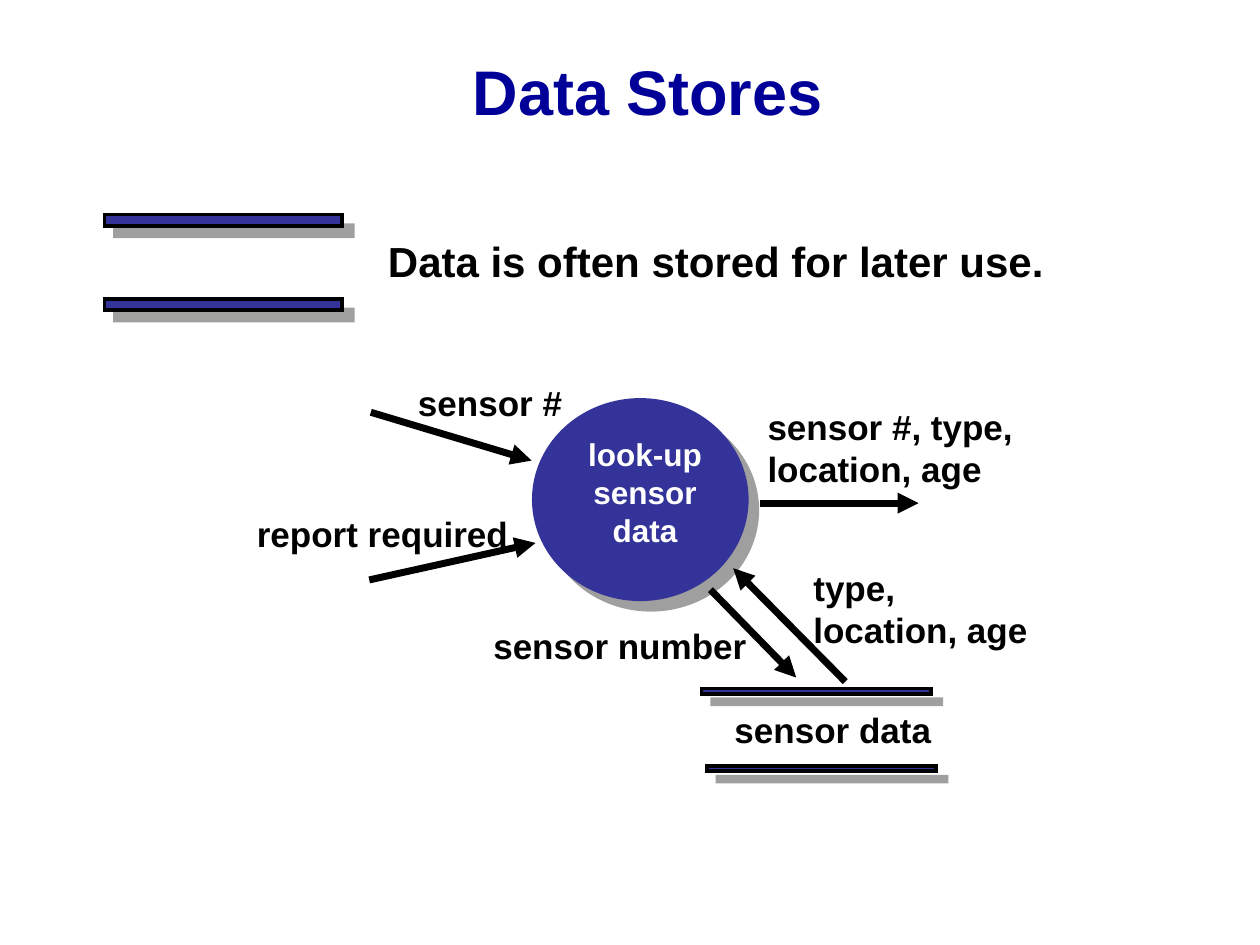
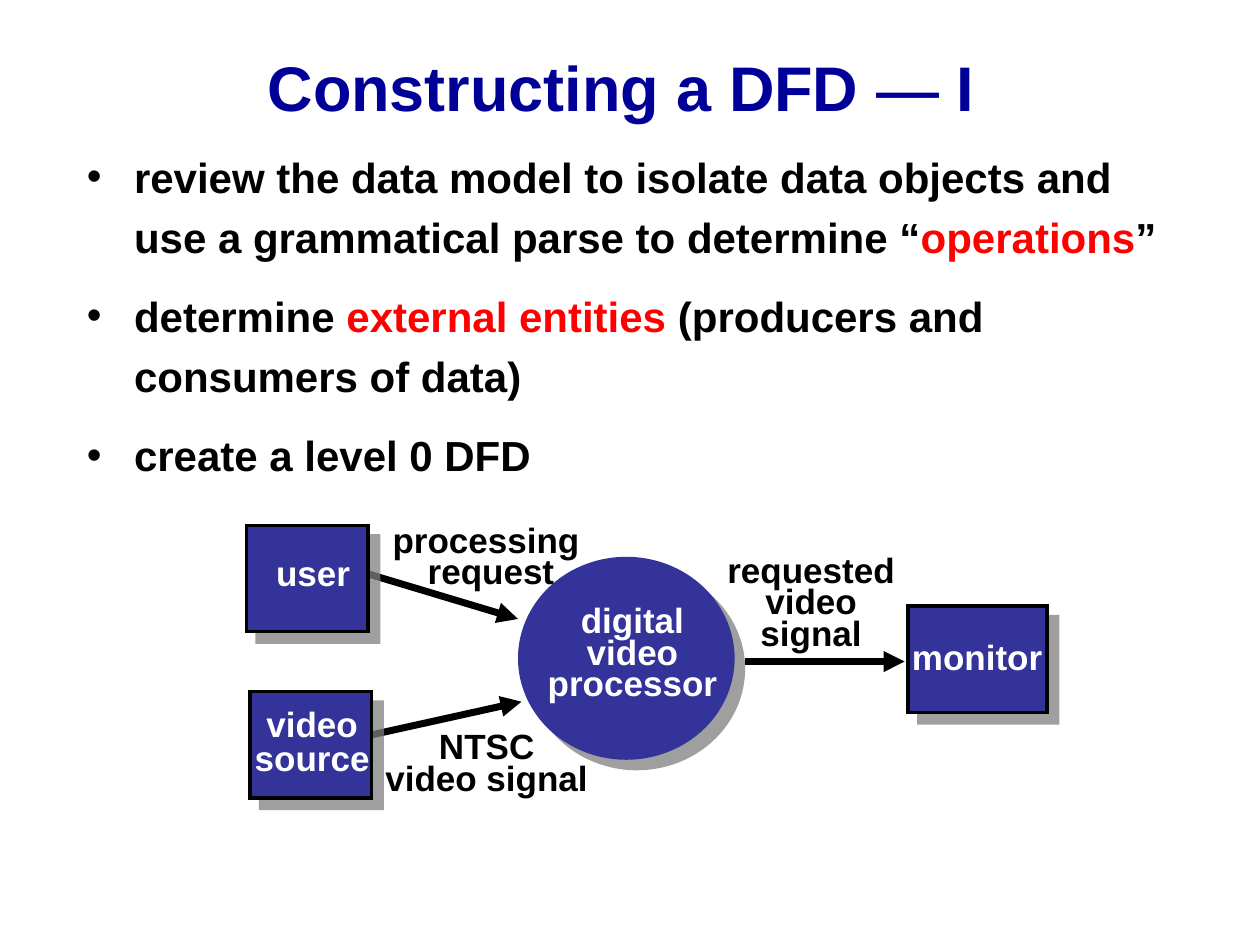
from dataclasses import dataclass

from lxml.etree import SubElement
from pptx import Presentation
from pptx.dml.color import RGBColor
from pptx.enum.shapes import MSO_CONNECTOR, MSO_SHAPE
from pptx.enum.text import MSO_ANCHOR, MSO_AUTO_SIZE, PP_ALIGN
from pptx.oxml.ns import qn
from pptx.util import Pt

LEFT, CENTER = PP_ALIGN.LEFT, PP_ALIGN.CENTER
RECTANGLE, OVAL = MSO_SHAPE.RECTANGLE, MSO_SHAPE.OVAL


@dataclass(frozen=True)
class Theme:
    title: str = "000099"
    node: str = "333399"
    ink: str = "000000"
    light: str = "FFFFFF"
    accent: str = "FF0000"
    shadow: str = "808080"
    font: str = "Arial"
    dash_font: str = "TeX Gyre Pagella"
    title_size: int = 36
    body_size: int = 24
    label_size: int = 20
    process_size: int = 18
    outline: int = 2
    arrow: int = 4
    shadow_distance: float = 8.5
    label_slack: int = 6


THEME = Theme()


def apply(target, formats):
    for name, value in formats.items():
        setattr(target, name, value)


def add_xml(parent, tag, **attributes):
    element = SubElement(parent, qn(tag))
    for name, value in attributes.items():
        element.set(name, str(value))
    return element


class Deck:
    def __init__(self, theme):
        self.theme = theme
        self.presentation = Presentation()
        apply(self.presentation, {"slide_width": Pt(720), "slide_height": Pt(540)})
        self.slide = None

    def add_runs(self, paragraph, runs, size, color):
        for text, changes in runs:
            run = paragraph.add_run()
            run.text = text
            formats = {"name": self.theme.font, "size": Pt(size), "bold": True}
            run_color = changes.get("color", color)
            formats.update({k: v for k, v in changes.items() if k != "color"})
            apply(run.font, formats)
            run.font.color.rgb = RGBColor.from_string(run_color)

    def start_slide(self, runs, left, top, width, height):
        self.slide = self.presentation.slides.add_slide(self.presentation.slide_layouts[5])
        title = self.slide.shapes.title
        apply(title, {"left": Pt(left), "top": Pt(top), "width": Pt(width), "height": Pt(height)})
        apply(title.text_frame, {"vertical_anchor": MSO_ANCHOR.MIDDLE, "word_wrap": True,
                                 "auto_size": MSO_AUTO_SIZE.NONE})
        paragraph = title.text_frame.paragraphs[0]
        paragraph.alignment = CENTER
        self.add_runs(paragraph, runs, self.theme.title_size, self.theme.title)

    def node(self, kind, left, top, width, height, outlined=True):
        shape = self.slide.shapes.add_shape(kind, Pt(left), Pt(top), Pt(width), Pt(height))
        shape.fill.solid()
        shape.fill.fore_color.rgb = RGBColor.from_string(self.theme.node)
        if outlined:
            shape.line.color.rgb = RGBColor.from_string(self.theme.ink)
            shape.line.width = Pt(self.theme.outline)
            add_xml(shape.line._get_or_add_ln(), "a:miter", lim=800000)
        else:
            shape.line.fill.background()
        shape.shadow.inherit = False
        effects = shape._element.spPr.find(qn("a:effectLst"))
        shadow = add_xml(effects, "a:outerShdw", blurRad=0, dist=Pt(self.theme.shadow_distance),
                         dir=2700000, algn="ctr", rotWithShape=0)
        add_xml(add_xml(shadow, "a:srgbClr", val=self.theme.shadow), "a:alpha", val=75000)

    def process(self, left, top):
        self.node(OVAL, left, top, 123.8, 116, outlined=False)

    def store(self, bars, width, height):
        for left, top in bars:
            self.node(RECTANGLE, left, top, width, height)

    def arrow(self, start, end):
        points = [Pt(value) for value in (*start, *end)]
        connector = self.slide.shapes.add_connector(MSO_CONNECTOR.STRAIGHT, *points)
        connector.line.color.rgb = RGBColor.from_string(self.theme.ink)
        connector.line.width = Pt(self.theme.arrow)
        add_xml(connector.line._get_or_add_ln(), "a:tailEnd", type="triangle")
        add_xml(connector._element.spPr, "a:effectLst")

    def text_box(self, left, top, width, height, wrap, auto_size):
        box = self.slide.shapes.add_textbox(Pt(left), Pt(top), Pt(width), Pt(height))
        apply(box.text_frame, {"word_wrap": wrap, "auto_size": auto_size})
        return box.text_frame

    def label(self, lines, left, top, width, height, size=None, color=None,
              alignment=LEFT, spacing=1.0):
        slack = self.theme.label_slack
        if alignment == CENTER:
            left -= slack / 2
        frame = self.text_box(left, top, width + slack, height, False,
                              MSO_AUTO_SIZE.SHAPE_TO_FIT_TEXT)
        for index, line in enumerate(lines):
            paragraph = frame.add_paragraph() if index else frame.paragraphs[0]
            apply(paragraph, {"alignment": alignment, "line_spacing": spacing})
            self.add_runs(paragraph, [(line, {})], size or self.theme.label_size,
                          color or self.theme.ink)

    def bullets(self, items, left, top, width, height):
        frame = self.text_box(left, top, width, height, True, MSO_AUTO_SIZE.NONE)
        for index, runs in enumerate(items):
            paragraph = frame.add_paragraph() if index else frame.paragraphs[0]
            apply(paragraph, {"line_spacing": 1.2, "space_before": Pt(10.5 if index else 0)})
            properties = paragraph._p.get_or_add_pPr()
            properties.set("marL", str(Pt(27)))
            properties.set("indent", str(Pt(-27)))
            add_xml(add_xml(properties, "a:buClr"), "a:srgbClr", val=self.theme.ink)
            add_xml(properties, "a:buFont", typeface=self.theme.font)
            add_xml(properties, "a:buChar", char="•")
            self.add_runs(paragraph, runs, self.theme.body_size, self.theme.ink)


def build_data_stores(deck):
    theme = deck.theme
    deck.start_slide([("Data Stores", {})], 88.2, 20.2, 563.8, 62.6)
    deck.store([(59.6, 122.6), (59.6, 170.8)], 136, 6.5)
    deck.label(["Data is often stored for later use."], 214.6, 131, 388.8, 36, theme.body_size)
    deck.process(304, 227.5)
    deck.label(["look-up", "sensor", "data"], 329, 245.2, 79.2, 93.6, theme.process_size,
               theme.light, CENTER)
    deck.arrow((211.9, 235.6), (303.8, 263.2))
    deck.arrow((211, 331.4), (306, 310.3))
    deck.arrow((434.2, 287.5), (524.9, 287.5))
    deck.label(["sensor #"], 231.8, 214.6, 96.5, 31)
    deck.label(["report required"], 139.7, 289.4, 157.7, 31)
    deck.label(["sensor #, type,", "location, age"], 431.5, 228.2, 159.8, 54.7)
    deck.store([(401, 393.6), (404, 437.8)], 131, 2.9)
    deck.arrow((406, 337), (455, 387.2))
    deck.label(["sensor data"], 412.6, 401.3, 126.7, 31)
    deck.label(["sensor number"], 274.8, 353.5, 159, 31)
    deck.arrow((483, 389.5), (419, 324.7))
    deck.label(["type,", "location, age"], 457.7, 320.4, 136.8, 54.7)


def build_level_zero(deck):
    theme = deck.theme
    accent = {"color": theme.accent}
    deck.start_slide([("Constructing a DFD ", {}), ("—", {"name": theme.dash_font}), (" I", {})],
                     100, 15.1, 509.8, 68.4)
    deck.bullets([
        [("review the data model to isolate data objects and use a grammatical parse "
          "to determine “", {}), ("operations", accent), ("”", {})],
        [("determine ", {}), ("external entities ", accent),
         ("(producers and consumers of data)", {})],
        [("create a level 0 DFD", {})],
    ], 42.5, 77, 635, 209.5)
    deck.process(296, 318.2)
    deck.arrow((203.8, 326), (296, 353.7))
    deck.arrow((203, 422), (298, 401))
    deck.arrow((426, 378), (517, 378))
    for left, top, width in ((141, 300.2, 69.4), (143, 395.2, 69.4), (519, 346.3, 79.4)):
        deck.node(RECTANGLE, left, top, width, 60.8)

    deck.label(["user"], 150.7, 311.8, 56.9, 31, color=theme.light)
    for lines, left, top, width, height, color, spacing in (
        (["processing ", "request"], 217.2, 298.2, 126.7, 43.2, theme.ink, 0.75),
        (["video", "source"], 138.4, 402.5, 80, 45.4, theme.light, 0.8),
        (["NTSC", "video signal"], 213, 416.2, 130.3, 43.2, theme.ink, 0.75),
        (["digital", "video", "processor"], 306, 344.2, 110.9, 61.2, theme.light, 0.75),
        (["requested", "video", "signal"], 408.4, 315.4, 110.2, 61.2, theme.ink, 0.75),
    ):
        deck.label(lines, left, top, width, height, color=color, alignment=CENTER,
                   spacing=spacing)
    deck.label(["monitor"], 514, 359.8, 88.6, 31, color=theme.light)


def main():
    deck = Deck(THEME)
    build_data_stores(deck)
    build_level_zero(deck)
    deck.presentation.save("out.pptx")


if __name__ == "__main__":
    main()
